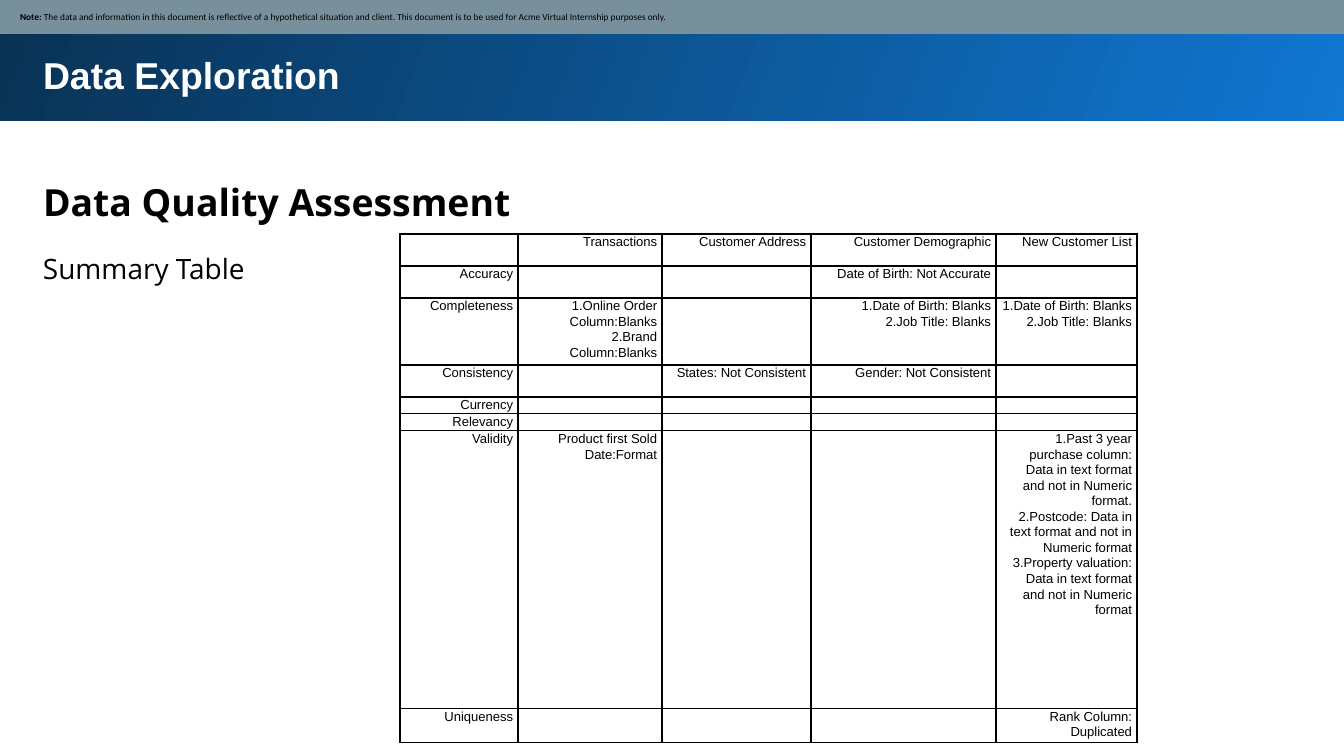
from pptx import Presentation
from pptx.dml.color import RGBColor as Rgb
from pptx.enum.shapes import MSO_SHAPE as Shape
from pptx.enum.text import MSO_ANCHOR as Anchor, PP_ALIGN as Align
from pptx.oxml import parse_xml
from pptx.oxml.ns import nsdecls
from pptx.util import Pt

EMU_PER_PX = 914400 / 134.4
COLORS = {
    "black": "000000",
    "white": "FFFFFF",
    "note": "78909C",
    "bright": "1077D2",
    "navy": "093153",
}
TABLE_FONT = {"name": "Arial", "size": Pt(7)}
COLUMNS = [118, 144, 149, 185, 141]
ROWS = [32, 32, 67, 32, 16, 17, 278, 34]
BLANKS = "1.Date of Birth: Blanks\n2.Job Title: Blanks"
FORMATS = (
    "1.Past 3 year purchase column: Data in text format and not in Numeric format.\n"
    "2.Postcode: Data in text format and not in Numeric format "
    "3.Property valuation: Data in text format and not in Numeric format"
)
SUMMARY = [
    ["", "Transactions", "Customer Address", "Customer Demographic", "New Customer List"],
    ["Accuracy", "", "", "Date of Birth: Not Accurate", ""],
    ["Completeness", "1.Online Order Column:Blanks\n2.Brand Column:Blanks", "", BLANKS, BLANKS],
    ["Consistency", "", "States: Not Consistent", "Gender: Not Consistent", ""],
    ["Currency", "", "", "", ""],
    ["Relevancy", "", "", "", ""],
    ["Validity", "Product first Sold Date:Format", "", "", FORMATS],
    ["Uniqueness", "", "", "", "Rank Column: Duplicated"],
]


def px(length):
    return round(length * EMU_PER_PX)


def color(name):
    return Rgb.from_string(COLORS[name])


def set_all(target, values):
    for name, value in values.items():
        setattr(target, name, value)


def margins(left, top):
    return {"margin_left": px(left), "margin_right": px(left),
            "margin_top": px(top), "margin_bottom": px(top)}


class SlideMaker:
    def __init__(self, page):
        self.page = page

    def add_span(self, para, text, font, ink="black"):
        span = para.add_run()
        span.text = text
        set_all(span.font, font)
        span.font.color.rgb = color(ink)

    def band(self, *place):
        band = self.page.shapes.add_shape(Shape.RECTANGLE, *map(px, place))
        band.shadow.inherit = False
        band.line.fill.background()
        return band

    def gradient_band(self, place, inks, angle):
        fill = self.band(*place).fill
        fill.gradient()
        fill.gradient_angle = angle
        for stop, ink in zip(fill.gradient_stops, inks):
            stop.color.rgb = color(ink)

    def note_band(self, place, ink, spans):
        band = self.band(*place)
        band.fill.solid()
        band.fill.fore_color.rgb = color(ink)
        set_all(band.text_frame, {**margins(7, 7), "margin_left": px(21),
                                  "vertical_anchor": Anchor.MIDDLE, "word_wrap": True})
        para = band.text_frame.paragraphs[0]
        para.alignment = Align.LEFT
        for text, bold in spans:
            self.add_span(para, text, {"name": "Calibri", "size": Pt(5), "bold": bold})

    def text(self, place, text, font, ink="black", spacing=1.0):
        box = self.page.shapes.add_textbox(*map(px, place))
        set_all(box.text_frame, {**margins(13, 13), "word_wrap": True})
        para = box.text_frame.paragraphs[0]
        para.line_spacing = spacing
        self.add_span(para, text, font, ink)

    def table(self, left, top, columns, rows, content):
        frame = self.page.shapes.add_table(
            len(rows), len(columns), px(left), px(top), px(sum(columns)), px(sum(rows)))
        table = frame.table
        set_all(table, {"first_row": False, "horz_banding": False})
        for column, width in zip(table.columns, columns):
            column.width = px(width)
        for row, height, texts in zip(table.rows, rows, content):
            row.height = px(height)
            for cell, text in zip(row.cells, texts):
                self.cell(cell, text)

    def cell(self, cell, text):
        set_all(cell, margins(5, 0))
        # Borders come before the fill in the cell properties
        properties = cell._tc.get_or_add_tcPr()
        for side in ("lnL", "lnR", "lnT", "lnB"):
            properties.append(parse_xml(
                f'<a:{side} {nsdecls("a")} w="{Pt(1)}"><a:solidFill>'
                f'<a:srgbClr val="{COLORS["black"]}"/></a:solidFill></a:{side}>'))
        cell.fill.background()
        for index, line in enumerate(text.split("\n")):
            frame = cell.text_frame
            para = frame.add_paragraph() if index else frame.paragraphs[0]
            set_all(para, {"alignment": Align.RIGHT, "line_spacing": 1.07})
            if line:
                self.add_span(para, line, TABLE_FONT)
            else:
                # Keeps an empty cell from stretching its row
                para._p.get_or_add_endParaRPr().set("sz", "700")


def main():
    deck = Presentation()
    set_all(deck, {"slide_width": px(1344), "slide_height": px(756)})
    maker = SlideMaker(deck.slides.add_slide(deck.slide_layouts[6]))

    # Header
    maker.gradient_band((-3, -3, 1350, 124), ("bright", "navy"), 160)
    maker.text((30, 39, 1260, 69), "Data Exploration",
               {"name": "Arial", "size": Pt(20), "bold": True}, "white")

    # Headings
    maker.text((30, 159, 1260, 75), "Data Quality Assessment",
               {"name": "Open Sans", "size": Pt(20), "bold": True}, spacing=1.15)
    maker.text((30, 234, 608, 64), "Summary Table",
               {"name": "Open Sans", "size": Pt(15)}, spacing=1.15)

    # Note strip
    maker.note_band((-1, -1, 1347, 35), "note", [
        ("Note: ", True),
        ("The data and information in this document is reflective of a hypothetical "
         "situation and client. This document is to be used for Acme Virtual "
         "Internship purposes only.", False),
    ])

    # Summary table
    maker.table(400, 234, COLUMNS, ROWS, SUMMARY)
    deck.save("out.pptx")


if __name__ == "__main__":
    main()
